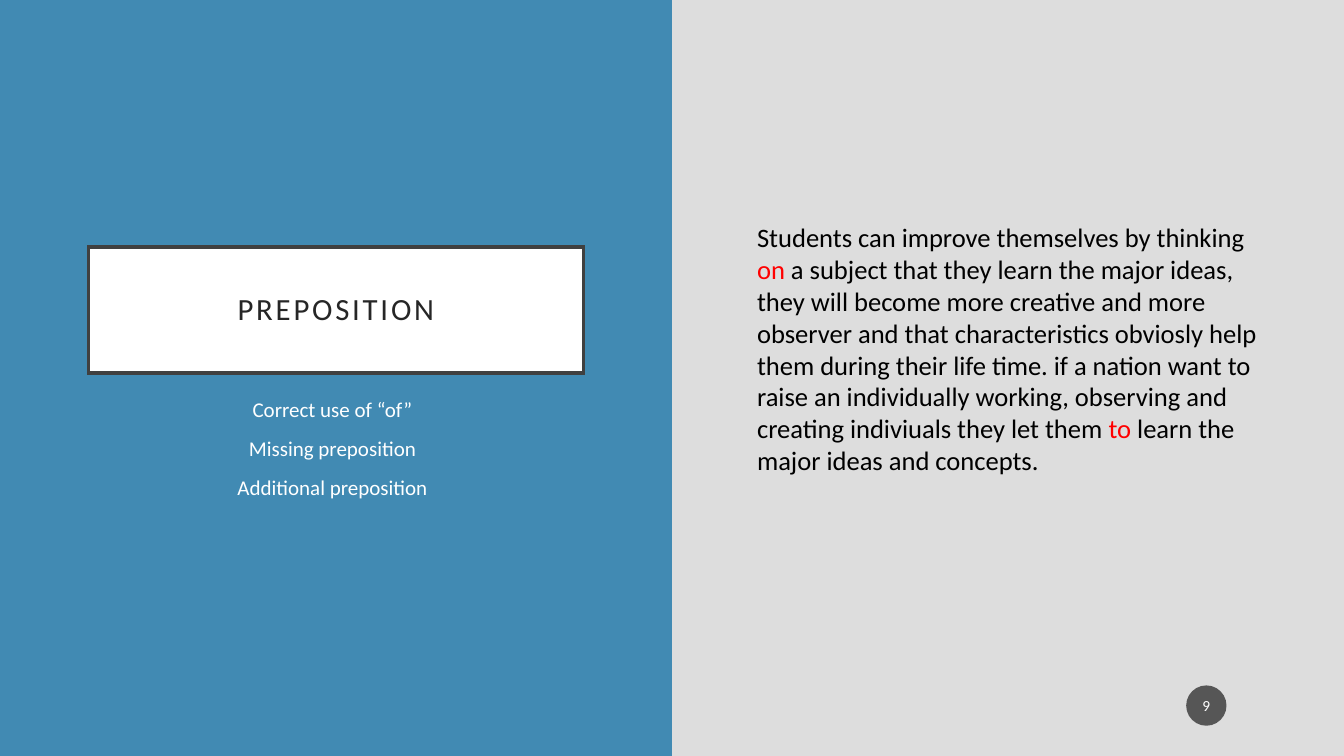
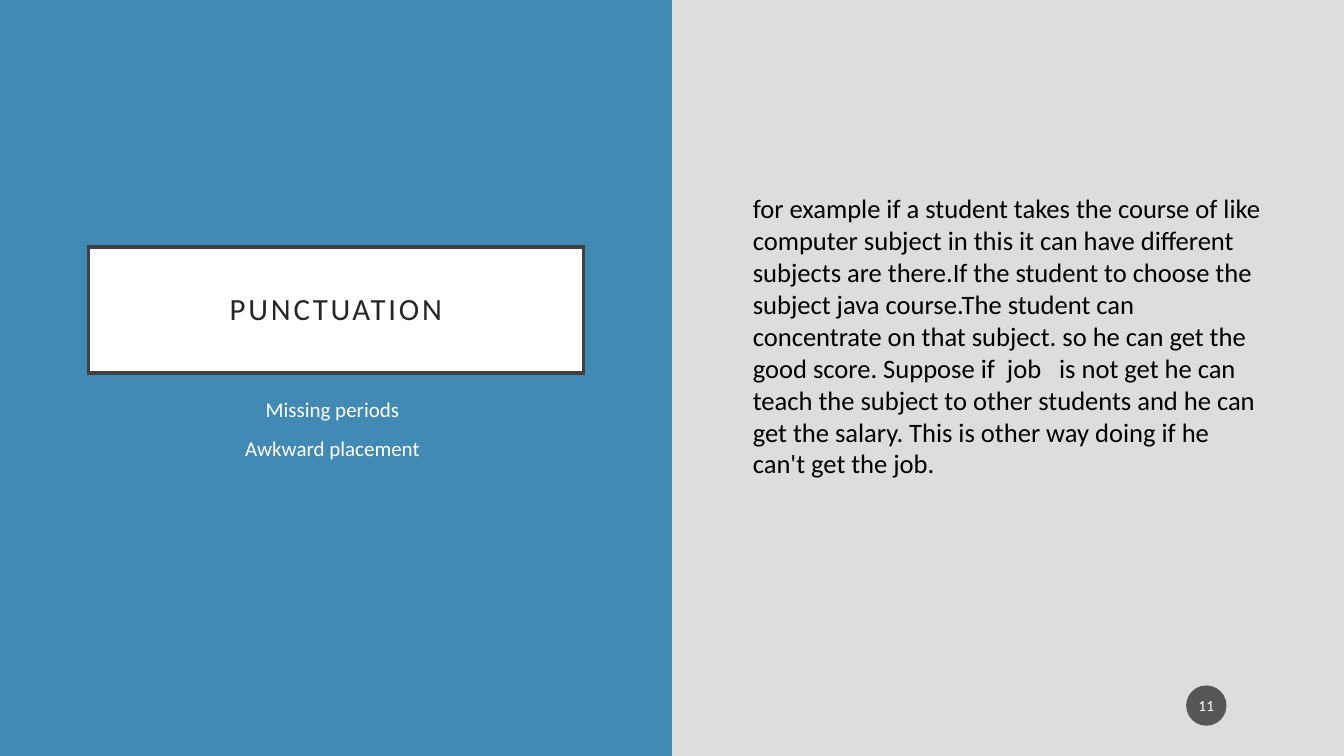
"""Build two grammar slides, each with a topic on the left and a sample on the right."""

import dataclasses

import lxml.etree
import pptx
import pptx.dml.color
import pptx.enum.shapes
import pptx.enum.text
import pptx.oxml.ns
import pptx.presentation
import pptx.shapes.autoshape
import pptx.slide
import pptx.text.text
import pptx.util

Pt = pptx.util.Pt
RGBColor = pptx.dml.color.RGBColor
Shape = pptx.enum.shapes.MSO_SHAPE
Align = pptx.enum.text.PP_ALIGN
Anchor = pptx.enum.text.MSO_ANCHOR

GREY = RGBColor(0xDD, 0xDD, 0xDD)
BLUE = RGBColor(0x41, 0x8A, 0xB3)
WHITE = RGBColor(0xFF, 0xFF, 0xFF)
BLACK = RGBColor(0x00, 0x00, 0x00)
RED = RGBColor(0xFF, 0x00, 0x00)
INK = RGBColor(0x26, 0x26, 0x26)
FRAME = RGBColor(0x40, 0x40, 0x40)
BADGE = RGBColor(0x1D, 0x1D, 0x1D)

FONT = "Calibri"
WIDTH, HEIGHT = 960, 540


@dataclasses.dataclass(frozen=True)
class Box:
    """A place on the slide, in points."""

    left: float
    top: float
    width: float
    height: float

    def place(self) -> tuple[pptx.util.Length, ...]:
        """Return the four lengths that python-pptx expects."""
        return Pt(self.left), Pt(self.top), Pt(self.width), Pt(self.height)


@dataclasses.dataclass(frozen=True)
class Topic:
    """The content of one slide; every second part of the sample is red."""

    title: str
    points: tuple[str, ...]
    sample: tuple[str, ...]
    place: Box
    number: int


PANEL = Box(0, 0, WIDTH / 2, HEIGHT)
TITLE = Box(63.2, 176.5, 353.5, 90)
POINTS = Box(88, 279.5, 299, 173)
CIRCLE = Box(847.3, 489.6, 28.8, 28.8)

TOPICS = (
    Topic(
        "PREPOSITION",
        ("Correct use of “of”", "Missing preposition", "Additional preposition"),
        (
            "Students can improve themselves by thinking ",
            "on",
            " a subject that they learn the major ideas, they will become more "
            "creative and more observer and that characteristics obviosly help "
            "them during their life time. if a nation want to raise an "
            "individually working, observing and creating indiviuals they let them ",
            "to",
            " learn the major ideas and concepts.",
        ),
        Box(533.7, 154.2, 379.5, 211.5),
        9,
    ),
    Topic(
        "PUNCTUATION",
        ("Missing periods", "Awkward placement"),
        (
            "for example if a student takes the course of like computer subject "
            "in this it can have different subjects are there.If the student to "
            "choose the subject java course.The student can concentrate on that "
            "subject. so he can get the good score. Suppose if  job   is not get "
            "he can teach the subject to other students and he can get the "
            "salary. This is other way doing if he can't get the job.",
        ),
        Box(530.7, 133.7, 379.5, 283),
        11,
    ),
)


def style(run: pptx.text.text._Run, size: float, color: RGBColor) -> None:
    """Give a run its font, size and colour."""
    run.font.name = FONT
    run.font.size = Pt(size)
    run.font.color.rgb = color


def add_form(
    slide: pptx.slide.Slide, kind: Shape, box: Box, fill: RGBColor
) -> pptx.shapes.autoshape.Shape:
    """Add a plain filled shape without line or shadow."""
    form = slide.shapes.add_shape(kind, *box.place())
    form.shadow.inherit = False
    form.fill.solid()
    form.fill.fore_color.rgb = fill
    form.line.fill.background()
    return form


def add_label(
    form: pptx.shapes.autoshape.Shape,
    text: str,
    size: float,
    color: RGBColor,
    inset: tuple[float, float],
) -> pptx.text.text._Paragraph:
    """Write one centred line in a shape, with side and end insets."""
    frame = form.text_frame
    frame.text = text
    frame.word_wrap = True
    frame.vertical_anchor = Anchor.MIDDLE
    frame.margin_left = frame.margin_right = Pt(inset[0])
    frame.margin_top = frame.margin_bottom = Pt(inset[1])
    line = frame.paragraphs[0]
    line.alignment = Align.CENTER
    style(line.runs[0], size, color)
    return line


def add_frame(slide: pptx.slide.Slide, box: Box) -> pptx.text.text.TextFrame:
    """Add a text box that wraps."""
    frame = slide.shapes.add_textbox(*box.place()).text_frame
    frame.word_wrap = True
    return frame


def add_title(slide: pptx.slide.Slide, text: str) -> None:
    """Add the sharp-cornered title frame with spaced letters."""
    form = add_form(slide, Shape.RECTANGLE, TITLE, WHITE)
    form.line.color.rgb = FRAME
    form.line.width = Pt(2.5)
    edge = form._element.spPr.find(pptx.oxml.ns.qn("a:ln"))
    lxml.etree.SubElement(edge, pptx.oxml.ns.qn("a:miter"), lim="800000")
    line = add_label(form, text, 22, INK, (14.4, 14.4))
    line.line_spacing = 0.9
    line.runs[0].font._element.set("spc", "200")


def add_points(slide: pptx.slide.Slide, points: tuple[str, ...]) -> None:
    """Add the centred points below the title."""
    frame = add_frame(slide, POINTS)
    frame.text = "\n".join(points)
    for line in frame.paragraphs:
        line.alignment = Align.CENTER
        line.space_before = Pt(10)
        style(line.runs[0], 15, WHITE)


def add_sample(slide: pptx.slide.Slide, topic: Topic) -> None:
    """Add the sample text with its marked words."""
    line = add_frame(slide, topic.place).paragraphs[0]
    line.space_before = Pt(10)
    for rank, part in enumerate(topic.sample):
        run = line.add_run()
        run.text = part
        style(run, 19, RED if rank % 2 else BLACK)


def add_badge(slide: pptx.slide.Slide, number: int) -> None:
    """Add the page number in a sheer dark circle."""
    form = add_form(slide, Shape.OVAL, CIRCLE, BADGE)
    tint = form.fill._xPr.find(".//" + pptx.oxml.ns.qn("a:srgbClr"))
    lxml.etree.SubElement(tint, pptx.oxml.ns.qn("a:alpha"), val="70000")
    add_label(form, str(number), 11, WHITE, (1.4, 3.6))


def add_topic(deck: pptx.presentation.Presentation, topic: Topic) -> None:
    """Add one whole slide."""
    slide = deck.slides.add_slide(deck.slide_layouts[6])
    slide.background.fill.solid()
    slide.background.fill.fore_color.rgb = GREY
    add_form(slide, Shape.RECTANGLE, PANEL, BLUE)
    add_title(slide, topic.title)
    add_sample(slide, topic)
    add_points(slide, topic.points)
    add_badge(slide, topic.number)


def main() -> None:
    """Build and save the deck."""
    deck = pptx.Presentation()
    deck.slide_width = Pt(WIDTH)
    deck.slide_height = Pt(HEIGHT)
    for topic in TOPICS:
        add_topic(deck, topic)
    deck.save("out.pptx")


if __name__ == "__main__":
    main()
